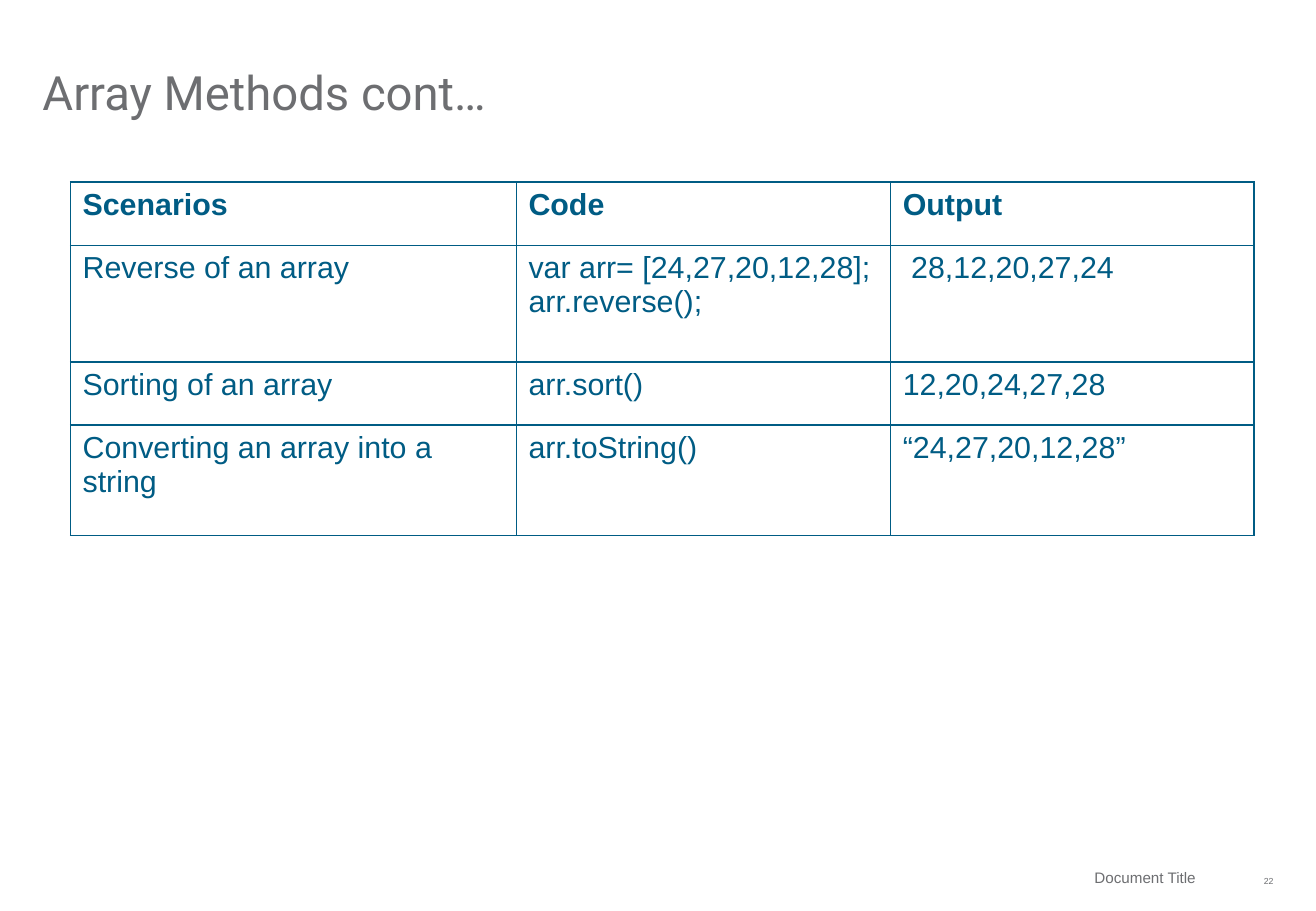
from dataclasses import dataclass

from lxml import etree
from pptx import Presentation
from pptx.dml.color import RGBColor
from pptx.enum import text
from pptx.oxml import ns
from pptx import util as u

PX = 9144


@dataclass(frozen=True)
class Theme:
    grey: str = "6D6E71"
    blue: str = "005C84"
    white: str = "FFFFFF"
    heading_font: str = "Roboto"
    body_font: str = "Arial"
    heading_size: float = 28
    body_size: float = 18
    footer_size: float = 9
    number_size: float = 5.2
    border_width: float = 1


THEME = Theme()

METHODS = [
    ("Scenarios", "Code", "Output"),
    ("Reverse of an array", "var arr= [24,27,20,12,28];\narr.reverse();", " 28,12,20,27,24"),
    ("Sorting of an array", "arr.sort()", "12,20,24,27,28"),
    ("Converting an array into a string", "arr.toString()", "“24,27,20,12,28”"),
]


def px(*lengths):
    return [u.Emu(length * PX) for length in lengths]


def style(paragraph, font, size, color, bold=False):
    paragraph.font.name = font
    paragraph.font.size = u.Pt(size)
    paragraph.font.bold = bold
    paragraph.font.color.rgb = RGBColor.from_string(color)


def add_label(slide, box, words, font, size, anchor, align, right_inset=0):
    frame = slide.shapes.add_textbox(*px(*box)).text_frame
    frame.word_wrap = True
    frame.margin_left = frame.margin_top = frame.margin_bottom = 0
    frame.margin_right = u.Emu(right_inset * PX)
    frame.vertical_anchor = anchor
    frame.text = words
    line = frame.paragraphs[0]
    line.alignment = align
    style(line, font, size, THEME.grey)
    return line


def add_heading(slide, box):
    line = add_label(slide, box, "Array Methods cont…", THEME.heading_font,
                     THEME.heading_size, text.MSO_ANCHOR.BOTTOM, text.PP_ALIGN.LEFT)
    line.line_spacing = 0.9


def add_footer(slide, box):
    left, top, width, height = box
    number_width = 39
    number_gap = 10
    number_drop = 3
    title_width = width - number_width - number_gap
    middle, right = text.MSO_ANCHOR.MIDDLE, text.PP_ALIGN.RIGHT
    add_label(slide, (left, top, title_width, height), "Document Title",
              THEME.body_font, THEME.footer_size, middle, right, right_inset=15)
    add_label(slide, (left + width - number_width, top + number_drop, number_width, height),
              "22", THEME.body_font, THEME.number_size, middle, right)


def add_borders(cell):
    properties = cell._tc.get_or_add_tcPr()
    for position, side in enumerate(("lnL", "lnR", "lnT", "lnB")):
        border = etree.Element(ns.qn(f"a:{side}"), w=str(u.Pt(THEME.border_width)))
        fill = etree.SubElement(border, ns.qn("a:solidFill"))
        etree.SubElement(fill, ns.qn("a:srgbClr"), val=THEME.blue)
        properties.insert(position, border)


def add_methods_table(slide, box):
    column_widths = (367, 308, 299)
    row_heights = (52, 96, 52, 91)
    table = slide.shapes.add_table(len(METHODS), len(METHODS[0]), *px(*box)).table
    table.first_row = table.horz_banding = False
    for column, width in zip(table.columns, px(*column_widths)):
        column.width = width
    for row, height in zip(table.rows, px(*row_heights)):
        row.height = height
    for row_index, entries in enumerate(METHODS):
        for column_index, entry in enumerate(entries):
            cell = table.cell(row_index, column_index)
            cell.text = entry
            cell.fill.solid()
            cell.fill.fore_color.rgb = RGBColor.from_string(THEME.white)
            add_borders(cell)
            for line in cell.text_frame.paragraphs:
                style(line, THEME.body_font, THEME.body_size, THEME.blue, row_index == 0)


def main():
    deck = Presentation()
    deck.slide_width, deck.slide_height = px(1083, 750)
    slide = deck.slides.add_slide(deck.slide_layouts[6])
    add_heading(slide, (35, 22, 1013, 77))
    add_methods_table(slide, (58, 150, 974, 291))
    add_footer(slide, (619, 708, 429, 28))
    deck.save("out.pptx")


if __name__ == "__main__":
    main()
